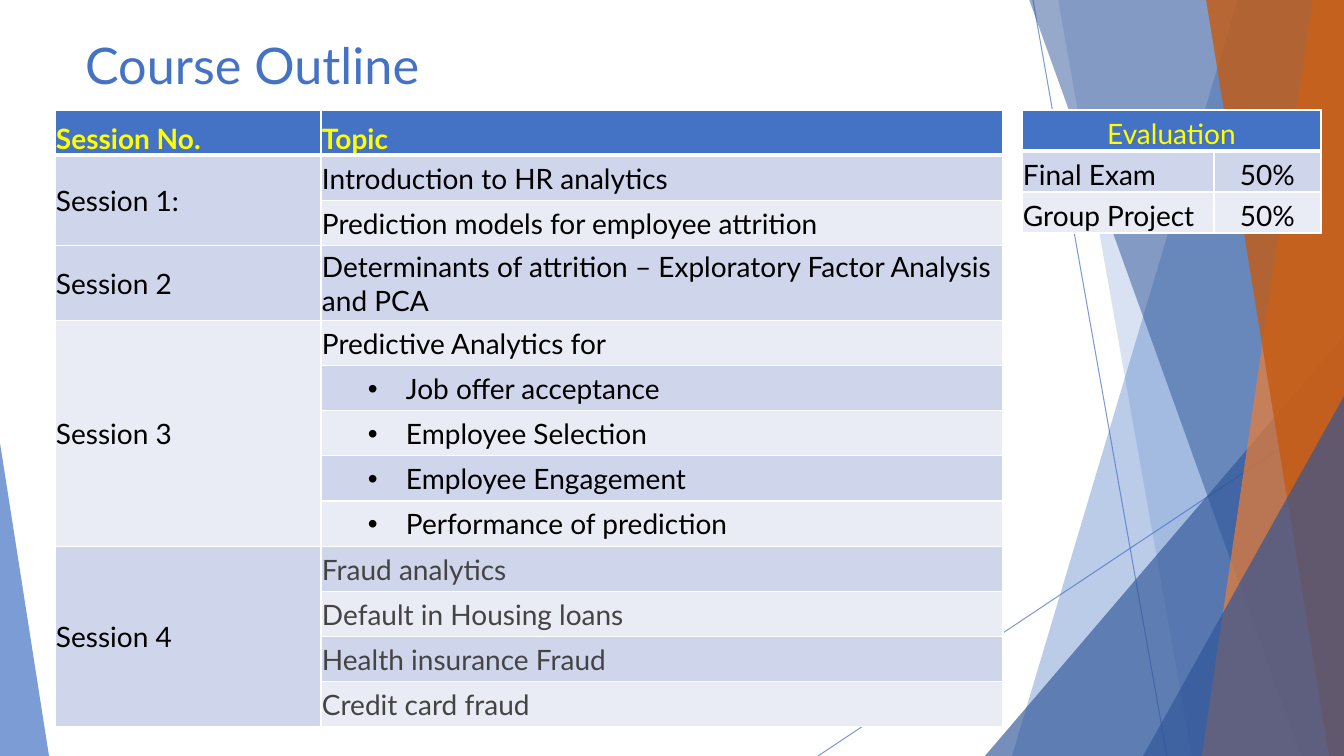
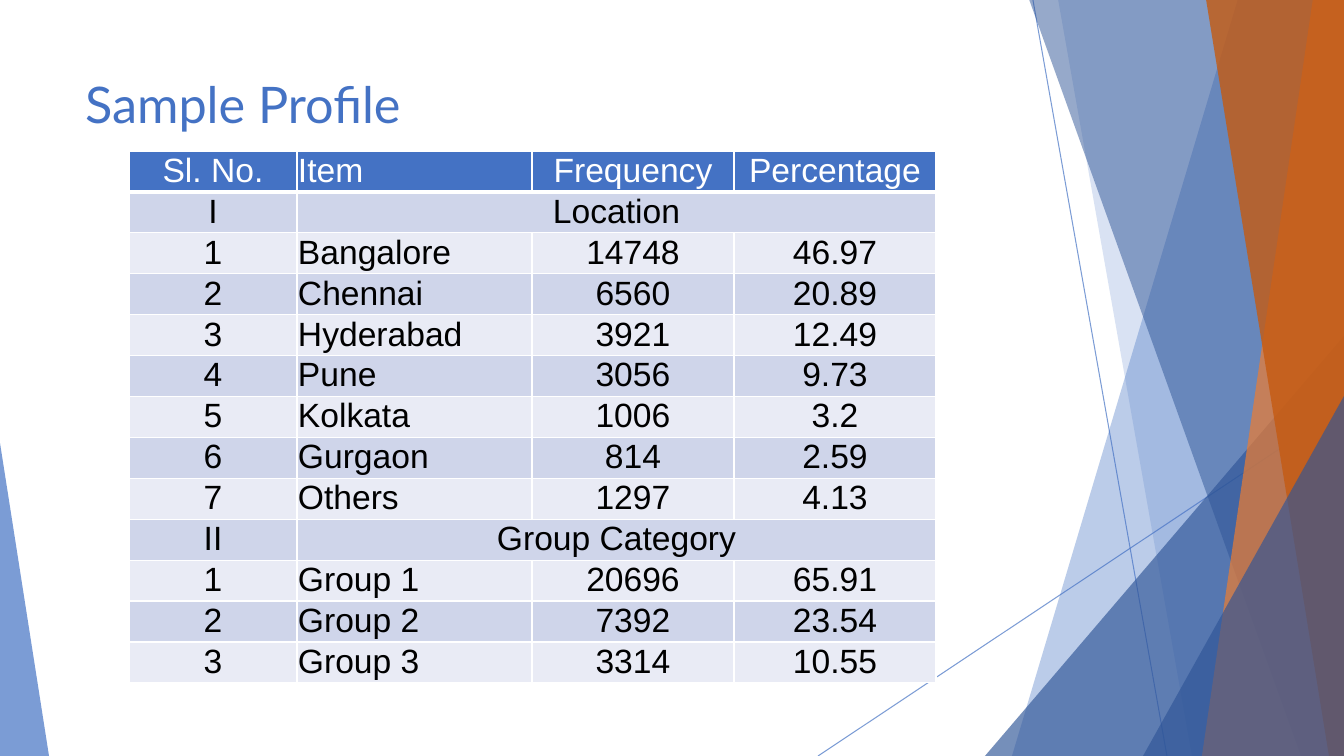
from dataclasses import dataclass

from lxml import etree
from pptx import Presentation
from pptx import util as u
from pptx.dml.color import RGBColor
from pptx.enum import shapes, text
from pptx.oxml.ns import qn

EMU_PER_PX = 914400 / 100.8
PAGE_WIDTH, PAGE_HEIGHT = 1344, 756


@dataclass(frozen=True)
class Theme:
    blue: str = "4472C4"
    navy: str = "2F5597"
    orange: str = "ED7D31"
    rust: str = "C55A11"
    yellow: str = "FFFF00"
    white: str = "FFFFFF"
    black: str = "000000"
    grey: str = "444444"
    band_dark: str = "CFD5EA"
    band_light: str = "E9EBF5"
    font: str = "Lato"
    data_font: str = "Arial"
    title_size: int = 36
    table_size: int = 20
    data_size: int = 24


THEME = Theme()
LEFT, CENTER = text.PP_ALIGN.LEFT, text.PP_ALIGN.CENTER
TOP, MIDDLE, BOTTOM = text.MSO_ANCHOR.TOP, text.MSO_ANCHOR.MIDDLE, text.MSO_ANCHOR.BOTTOM


@dataclass(frozen=True)
class Ray:
    start: tuple[int, int]
    end: tuple[int, int]


@dataclass(frozen=True)
class Stripe:
    top_x: int
    bottom_x: int
    color: str
    alpha: int


@dataclass(frozen=True)
class Wedge:
    left: int
    top: int
    width: int
    apex: float
    color: str
    alpha: int


@dataclass(frozen=True)
class Entry:
    text: str
    color: str = THEME.black
    bullet: bool = False


@dataclass(frozen=True)
class Span:
    row: int
    column: int
    rows: int = 1
    columns: int = 1


@dataclass(frozen=True)
class Grid:
    left: int
    top: int
    height: int
    widths: tuple[int, ...]
    aligns: tuple[text.PP_ALIGN, ...]
    rows: list[tuple[str | Entry, ...]]
    spans: tuple[Span, ...]
    header_color: str
    header_anchor: text.MSO_ANCHOR
    body_anchor: text.MSO_ANCHOR
    size: int = THEME.table_size
    font: str = THEME.font
    header_bold: bool = False
    tall_row: int = 0
    tall_extra: int = 0


BACKDROP = (
    Ray((1033, 0), (1167, PAGE_HEIGHT)),
    Ray((PAGE_WIDTH, 406), (818, PAGE_HEIGHT)),
    Stripe(1238, 1012, THEME.blue, 36),
    Stripe(1058, 1192, THEME.blue, 20),
    Wedge(985, 336, 359, 1, THEME.navy, 66),
    Stripe(1029, 1301, THEME.navy, 50),
    Stripe(1313, 1202, THEME.orange, 70),
    Stripe(1206, 1329, THEME.rust, 80),
    Wedge(1143, 396, 201, 1, THEME.navy, 66),
    Wedge(0, 443, 49, 0, THEME.blue, 70),
)

OUTLINE = Grid(
    left=55, top=110, height=617, widths=(266, 682), aligns=(LEFT, LEFT),
    rows=[
        ("Session No.", "Topic"),
        ("Session 1:", "Introduction to HR analytics"),
        ("", "Prediction models for employee attrition"),
        ("Session 2", "Determinants of attrition – Exploratory Factor Analysis and PCA"),
        ("Session 3", "Predictive Analytics for"),
        ("", Entry("Job offer acceptance", bullet=True)),
        ("", Entry("Employee Selection", bullet=True)),
        ("", Entry("Employee Engagement", bullet=True)),
        ("", Entry("Performance of prediction", bullet=True)),
        ("Session 4", Entry("Fraud analytics", THEME.grey)),
        ("", Entry("Default in Housing loans", THEME.grey)),
        ("", Entry("Health insurance Fraud", THEME.grey)),
        ("", Entry("Credit card fraud", THEME.grey)),
    ],
    spans=(Span(1, 0, rows=2), Span(4, 0, rows=5), Span(9, 0, rows=4)),
    header_color=THEME.yellow, header_anchor=BOTTOM, body_anchor=MIDDLE,
    header_bold=True, tall_row=3, tall_extra=30,
)

EVALUATION = Grid(
    left=1022, top=110, height=123, widths=(192, 107), aligns=(LEFT, CENTER),
    rows=[("Evaluation", ""), ("Final Exam", "50%"), ("Group Project", "50%")],
    spans=(Span(0, 0, columns=2),),
    header_color=THEME.yellow, header_anchor=BOTTOM, body_anchor=BOTTOM,
)

PROFILE = Grid(
    left=129, top=151, height=532, widths=(168, 235, 202, 202),
    aligns=(CENTER, LEFT, CENTER, CENTER),
    rows=[
        ("Sl. No.", "Item", "Frequency", "Percentage"),
        ("I", "Location", "", ""),
        ("1", "Bangalore", "14748", "46.97"),
        ("2", "Chennai", "6560", "20.89"),
        ("3", "Hyderabad", "3921", "12.49"),
        ("4", "Pune", "3056", "9.73"),
        ("5", "Kolkata", "1006", "3.2"),
        ("6", "Gurgaon", "814", "2.59"),
        ("7", "Others", "1297", "4.13"),
        ("II", "Group Category", "", ""),
        ("1", "Group 1", "20696", "65.91"),
        ("2", "Group 2", "7392", "23.54"),
        ("3", "Group 3", "3314", "10.55"),
    ],
    spans=(Span(1, 1, columns=3), Span(9, 1, columns=3)),
    header_color=THEME.white, header_anchor=TOP, body_anchor=TOP,
    size=THEME.data_size, font=THEME.data_font,
)


def px(length: float) -> u.Emu:
    return u.Emu(round(length * EMU_PER_PX))


def set_alpha(element, percent: int) -> None:
    color = element.find(".//" + qn("a:srgbClr"))
    etree.SubElement(color, qn("a:alpha")).set("val", str(percent * 1000))


def paint(shape, color: str, alpha: int) -> None:
    shape.shadow.inherit = False
    shape.fill.solid()
    shape.fill.fore_color.rgb = RGBColor.from_string(color)
    set_alpha(shape.element.spPr, alpha)
    shape.line.fill.background()


def draw_ray(page, ray: Ray) -> None:
    line = page.shapes.add_connector(
        shapes.MSO_CONNECTOR.STRAIGHT, *map(px, ray.start + ray.end))
    line.line.width = u.Pt(0.75)
    line.line.color.rgb = RGBColor.from_string(THEME.blue)
    set_alpha(line.element.spPr, 70)
    etree.SubElement(line.element.spPr, qn("a:effectLst"))


def draw_stripe(page, stripe: Stripe) -> None:
    outline = page.shapes.build_freeform(stripe.top_x, -1, scale=EMU_PER_PX)
    outline.add_line_segments(
        [(PAGE_WIDTH, -1), (PAGE_WIDTH, PAGE_HEIGHT), (stripe.bottom_x, PAGE_HEIGHT)])
    paint(outline.convert_to_shape(), stripe.color, stripe.alpha)


def draw_wedge(page, wedge: Wedge) -> None:
    shape = page.shapes.add_shape(
        shapes.MSO_SHAPE.ISOSCELES_TRIANGLE, px(wedge.left), px(wedge.top),
        px(wedge.width), px(PAGE_HEIGHT - wedge.top))
    shape.adjustments[0] = wedge.apex
    paint(shape, wedge.color, wedge.alpha)


def add_page(deck, title: str, top: int, height: int):
    page = deck.slides.add_slide(deck.slide_layouts[5])
    painters = {Ray: draw_ray, Stripe: draw_stripe, Wedge: draw_wedge}
    for part in BACKDROP:
        painters[type(part)](page, part)
    box = page.shapes.title
    box.left, box.top, box.width, box.height = map(px, (75, top, 948, height))
    frame = box.text_frame
    frame.text = title
    frame.word_wrap = True
    frame.auto_size = text.MSO_AUTO_SIZE.NONE
    frame.vertical_anchor = TOP
    para = frame.paragraphs[0]
    para.alignment = LEFT
    style(para, THEME.font, THEME.title_size, THEME.blue)
    return page


def style(para, font: str, size: int, color: str, bold: bool = False) -> None:
    for span in para.runs:
        span.font.name = font
        span.font.size = u.Pt(size)
        span.font.bold = bold
        span.font.color.rgb = RGBColor.from_string(color)


def add_borders(cell, row: int) -> None:
    properties = cell._tc.get_or_add_tcPr()
    widths = {"L": 1, "R": 1, "T": 3 if row == 1 else 1, "B": 3 if row == 0 else 1}
    for side, width in widths.items():
        line = etree.SubElement(properties, qn(f"a:ln{side}"), w=str(u.Pt(width)))
        fill = etree.SubElement(line, qn("a:solidFill"))
        etree.SubElement(fill, qn("a:srgbClr"), val=THEME.white)


def add_bullet(para) -> None:
    properties = para._p.get_or_add_pPr()
    properties.set("marL", str(px(38)))
    properties.set("indent", str(-px(38)))
    etree.SubElement(properties, qn("a:buFont"), typeface="Arial")
    etree.SubElement(properties, qn("a:buChar"), char="•")


def fill_cell(cell, grid: Grid, row: int, column: int) -> None:
    value = grid.rows[row][column]
    entry = value if isinstance(value, Entry) else Entry(value)
    header = row == 0
    band = THEME.band_dark if row % 2 else THEME.band_light
    add_borders(cell, row)
    cell.fill.solid()
    cell.fill.fore_color.rgb = RGBColor.from_string(THEME.blue if header else band)
    cell.margin_left = px(47 if entry.bullet else 1)
    cell.margin_top = cell.margin_right = px(1)
    cell.margin_bottom = 0
    cell.vertical_anchor = grid.header_anchor if header else grid.body_anchor
    if not entry.text:
        return
    cell.text_frame.text = entry.text
    para = cell.text_frame.paragraphs[0]
    para.alignment = CENTER if cell.span_width > 1 else grid.aligns[column]
    if entry.bullet:
        add_bullet(para)
    style(para, grid.font, grid.size, grid.header_color if header else entry.color,
          header and grid.header_bold)


def draw_grid(page, grid: Grid) -> None:
    count = len(grid.rows)
    table = page.shapes.add_table(
        count, len(grid.widths), px(grid.left), px(grid.top),
        px(sum(grid.widths)), px(grid.height)).table
    for column, width in zip(table.columns, grid.widths):
        column.width = px(width)
    for index, row in enumerate(table.rows):
        extra = grid.tall_extra if index == grid.tall_row else 0
        row.height = px((grid.height - grid.tall_extra) / count + extra)
    for span in grid.spans:
        last = table.cell(span.row + span.rows - 1, span.column + span.columns - 1)
        table.cell(span.row, span.column).merge(last)
    for row in range(count):
        for column in range(len(grid.widths)):
            fill_cell(table.cell(row, column), grid, row, column)


def main() -> None:
    deck = Presentation()
    deck.slide_width, deck.slide_height = px(PAGE_WIDTH), px(PAGE_HEIGHT)
    outline_page = add_page(deck, "Course Outline", 29, 81)
    draw_grid(outline_page, OUTLINE)
    draw_grid(outline_page, EVALUATION)
    draw_grid(add_page(deck, "Sample Profile", 68, 145), PROFILE)
    deck.save("out.pptx")


if __name__ == "__main__":
    main()
